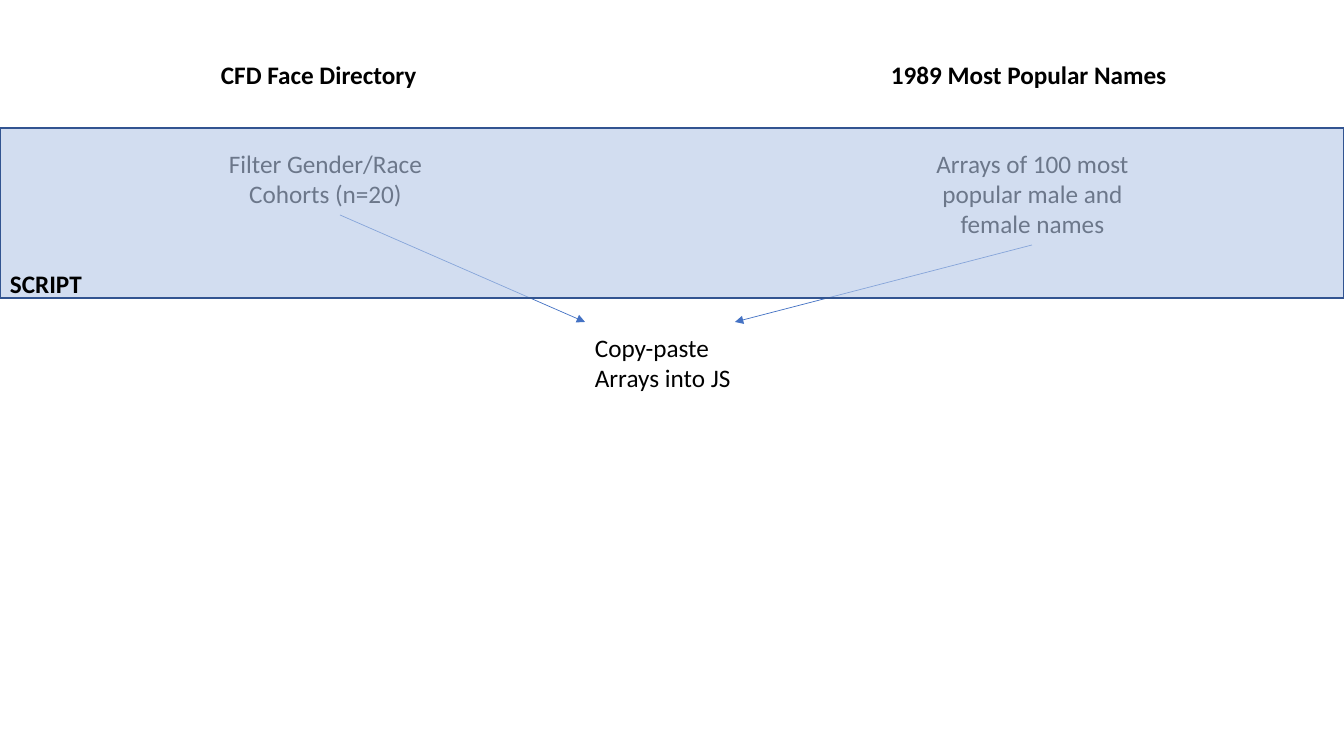
from dataclasses import dataclass

from lxml import etree
from pptx import Presentation
from pptx.dml.color import RGBColor
from pptx.enum.shapes import MSO_CONNECTOR, MSO_SHAPE
from pptx.enum.text import MSO_AUTO_SIZE, PP_ALIGN
from pptx.oxml.ns import qn
from pptx.slide import Slide
from pptx.util import Emu, Pt

STRAIGHT = MSO_CONNECTOR.STRAIGHT
RECTANGLE = MSO_SHAPE.RECTANGLE
FIT_TEXT = MSO_AUTO_SIZE.SHAPE_TO_FIT_TEXT
LEFT, CENTER = PP_ALIGN.LEFT, PP_ALIGN.CENTER

PX_PER_INCH = 100.8
SLIDE_W, SLIDE_H = 1344, 756
BAND_TOP, BAND_BOTTOM = 128, 298


@dataclass
class Label:
    text: str
    x: int
    y: int
    w: int
    h: int
    bold: bool = False
    align: PP_ALIGN = LEFT


@dataclass
class Line:
    x1: int
    y1: int
    x2: int
    y2: int
    color: str
    width: float
    arrow: bool = False


STEPS = [
    Label("CFD Face Directory", 211, 54, 230, 40, bold=True),
    Label("1989 Most Popular Names", 881, 54, 304, 40, bold=True),
    Label("Filter Gender/Race Cohorts (n=20)", 212, 143, 227, 72, align=CENTER),
    Label("Arrays of 100 most popular male and female names", 904, 143, 257, 102, align=CENTER),
    Label("Copy-paste Arrays into JS", 585, 327, 174, 72),
]
BAND_LABEL = Label("SCRIPT", 0, 263, 120, 40, bold=True)

LINES = [
    Line(0, BAND_TOP, SLIDE_W, BAND_TOP, "5B9BD5", 1.5),
    Line(340, 215, 585, 322, "4472C4", 0.5, arrow=True),
    Line(1032, 245, 735, 322, "4472C4", 0.5, arrow=True),
    Line(0, BAND_BOTTOM, SLIDE_W, BAND_BOTTOM, "5B9BD5", 1.5),
]


def px(n: int) -> Emu:
    return Emu(round(n * 914400 / PX_PER_INCH))


def rgb(value: str) -> RGBColor:
    return RGBColor.from_string(value)


def add_label(s: Slide, label: Label) -> None:
    sp = s.shapes.add_textbox(px(label.x), px(label.y), px(label.w), px(label.h))
    tf = sp.text_frame
    tf.word_wrap = True
    tf.auto_size = FIT_TEXT
    p = tf.paragraphs[0]
    p.alignment = label.align
    r = p.add_run()
    r.text = label.text
    for name, value in {"name": "Calibri", "size": Pt(18), "bold": label.bold}.items():
        setattr(r.font, name, value)
    r.font.color.rgb = rgb("000000")


def add_line(s: Slide, line: Line) -> None:
    sp = s.shapes.add_connector(STRAIGHT, px(line.x1), px(line.y1), px(line.x2), px(line.y2))
    sp.line.color.rgb = rgb(line.color)
    sp.line.width = Pt(line.width)
    if line.arrow:
        etree.SubElement(sp.line._get_or_add_ln(), qn("a:tailEnd"), type="triangle")
    etree.SubElement(sp._element.spPr, qn("a:effectLst"))


def add_band(s: Slide) -> None:
    sp = s.shapes.add_shape(RECTANGLE, px(0), px(BAND_TOP), px(SLIDE_W), px(BAND_BOTTOM - BAND_TOP))
    sp.shadow.inherit = False
    sp.fill.solid()
    sp.fill.fore_color.rgb = rgb("B4C7E7")
    fill = sp._element.spPr.find(qn("a:solidFill"))
    etree.SubElement(fill[0], qn("a:alpha"), val="60000")
    sp.line.color.rgb = rgb("325491")
    sp.line.width = Pt(1)


def main() -> None:
    prs = Presentation()
    prs.slide_width, prs.slide_height = px(SLIDE_W), px(SLIDE_H)
    s = prs.slides.add_slide(prs.slide_layouts[6])
    for label in STEPS:
        add_label(s, label)
    for line in LINES:
        add_line(s, line)
    add_band(s)
    add_label(s, BAND_LABEL)
    prs.save("out.pptx")


if __name__ == "__main__":
    main()
